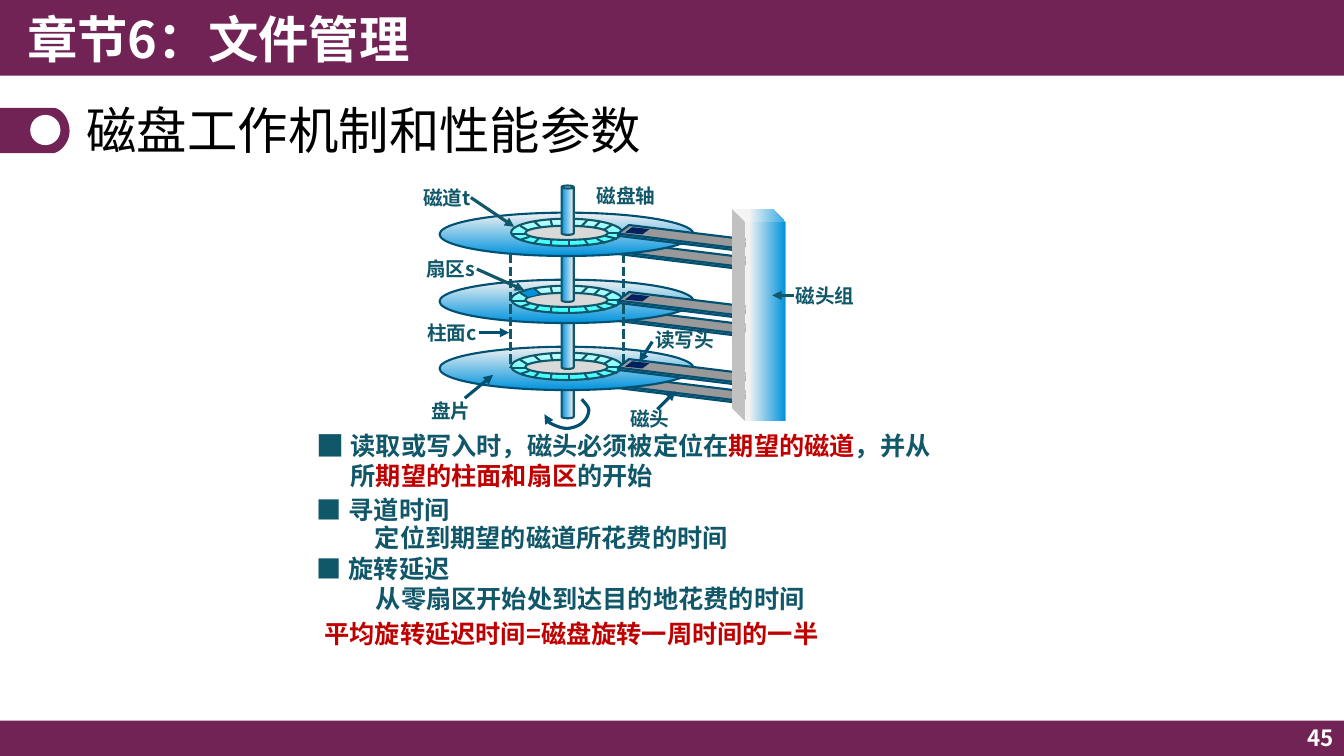
from typing import NamedTuple, Optional

from lxml import etree
from pptx import Presentation
from pptx import util as u
from pptx.dml.color import RGBColor
from pptx.enum import dml, shapes, text
from pptx.oxml import ns

PLUM = RGBColor(0x71, 0x23, 0x55)
WHITE = RGBColor(0xFF, 0xFF, 0xFF)
BLACK = RGBColor(0, 0, 0)
TEAL = RGBColor(0x11, 0x57, 0x6A)
DEEP_TEAL = RGBColor(0x00, 0x50, 0x72)
BLUE = RGBColor(0x00, 0x93, 0xDD)
PALE = RGBColor(0xF2, 0xF2, 0xF2)
ICE = RGBColor(0xCC, 0xFF, 0xFF)
CYAN = RGBColor(0x33, 0xFF, 0xFF)
GREY = RGBColor(0x80, 0x80, 0x80)
HUB_GREY = RGBColor(0xD9, 0xD9, 0xD9)
NAVY = RGBColor(0x00, 0x20, 0x60)
RED = RGBColor(0xC0, 0x00, 0x00)
FONT = "Noto Sans CJK SC"
BULLET_FONT = "Noto Sans CJK JP"
PLATTER_TOP = 2.11
PLATTER_GAP = 0.665
KIND = shapes.MSO_SHAPE
Point = tuple[float, float]


class Gradient(NamedTuple):
    first: RGBColor
    last: RGBColor
    angle: float
    start: float = 0


class Label(NamedTuple):
    words: str
    left: float
    top: float
    width: float


class Line(NamedTuple):
    start: Point
    end: Point
    color: RGBColor = DEEP_TEAL


class Item(NamedTuple):
    runs: list[tuple[str, RGBColor]]
    left: float
    top: float
    width: float
    spacing: float = 1
    bullet_top: float = 0
    bullet_size: float = 18


STEEL = Gradient(PALE, BLUE, 180)
PLATE = Gradient(PALE, BLUE, 270)
RING = Gradient(ICE, CYAN, 270)
COLUMN = Gradient(PALE, BLUE, 180, 0.32)

TICKS = [
    Line((5.48, 0.14), (5.46, 0.07)), Line((5.37, 0.15), (5.3, 0.09)),
    Line((5.24, 0.18), (5.16, 0.13)), Line((5.21, 0.21), (5.07, 0.21)),
    Line((6.17, 0.2), (6.03, 0.2)), Line((6, 0.3), (5.92, 0.26)),
    Line((5.84, 0.33), (5.8, 0.27)), Line((5.64, 0.28), (5.64, 0.34)),
    Line((6.12, 0.26), (6, 0.23)), Line((5.47, 0.27), (5.46, 0.33)),
    Line((5.34, 0.26), (5.29, 0.31)), Line((5.25, 0.24), (5.16, 0.27)),
    Line((5.76, 0.14), (5.83, 0.07)), Line((5.89, 0.15), (5.95, 0.09)),
    Line((5.99, 0.17), (6.07, 0.12)),
]
LABELS = [
    Label("磁道t", 4.1, 1.8, 0.68), Label("磁盘轴", 5.82, 1.78, 0.82),
    Label("磁头组", 7.79, 2.77, 0.82), Label("扇区s", 4.13, 2.5, 0.69),
    Label("柱面c", 4.14, 3.13, 0.7), Label("盘片", 4.18, 3.91, 0.62),
    Label("磁头", 6.15, 3.99, 0.62), Label("读写头", 6.4, 3.2, 0.82),
]
ARROWS = [
    Line((4.67, 1.96), (5.1, 2.25), TEAL), Line((4.73, 2.67), (5.2, 2.88), TEAL),
    Line((4.75, 3.3), (5.05, 3.3)), Line((4.61, 3.95), (4.89, 3.72)),
    Line((6.52, 4.06), (6.7, 3.88)), Line((6.47, 3.39), (6.34, 3.59)),
    Line((7.88, 2.93), (7.66, 2.93), TEAL),
]
ITEMS = [
    Item([("读取或写入时，磁头必须被定位在", TEAL), ("期望的磁道", RED), ("，并从所", TEAL),
          ("期望的柱面和扇区", RED), ("的开始", TEAL)], 3.38, 4.22, 6.09, 1, 4.2, 20),
    Item([("寻道时间", TEAL)], 3.36, 4.85, 1.64, 1, 4.85),
    Item([("定位到期望的磁道所花费的时间", TEAL)], 3.62, 5.17, 4.26, 0.9),
    Item([("旋转延迟", TEAL)], 3.36, 5.44, 1.64, 1, 5.44),
    Item([("从零扇区开始处到达目的地花费的时间", TEAL)], 3.63, 5.77, 5.51, 0.9),
    Item([("平均旋转延迟时间=磁盘旋转一周时间的一半", RED)], 3.12, 6.12, 5.9, 0.9),
]

presentation = Presentation()
presentation.slide_width = u.Inches(13.33)
presentation.slide_height = u.Inches(7.5)
slide = presentation.slides.add_slide(presentation.slide_layouts[6])


def paint(shape, fill, line: Optional[RGBColor], weight: float) -> None:
    shape.shadow.inherit = False
    if isinstance(fill, Gradient):
        shape.fill.gradient()
        shape.fill.gradient_angle = fill.angle
        first, last = shape.fill.gradient_stops
        first.color.rgb, first.position = fill.first, fill.start
        last.color.rgb, last.position = fill.last, 1
    elif fill is None:
        shape.fill.background()
    else:
        shape.fill.solid()
        shape.fill.fore_color.rgb = fill
    if line is None:
        shape.line.fill.background()
    else:
        shape.line.color.rgb = line
        shape.line.width = u.Pt(weight)


def add_arrowhead(shape) -> None:
    etree.SubElement(shape.line._get_or_add_ln(), ns.qn("a:tailEnd"), type="triangle")


def add_preset(kind: KIND, box: tuple[float, float, float, float], fill, line: Optional[RGBColor] = None,
               rotation: float = 0, adjustment: Optional[float] = None):
    shape = slide.shapes.add_shape(kind, *map(u.Inches, box))
    paint(shape, fill, line, 1.5)
    shape.rotation = rotation
    if adjustment is not None:
        shape.adjustments[0] = adjustment
    return shape


def add_outline(points: list[Point], fill=None, line: Optional[RGBColor] = None,
                weight: float = 0.75, close: bool = True):
    corners = [(u.Inches(x), u.Inches(y)) for x, y in points]
    builder = slide.shapes.build_freeform(*corners[0])
    builder.add_line_segments(corners[1:], close=close)
    shape = builder.convert_to_shape()
    paint(shape, fill, line, weight)
    return shape


def curve(start: Point, *arcs: tuple[Point, Point, Point], steps: int = 10) -> list[Point]:
    points = [start]
    for arc in arcs:
        controls = (points[-1], *arc)
        for step in range(1, steps + 1):
            t = step / steps
            weights = ((1 - t) ** 3, 3 * t * (1 - t) ** 2, 3 * t * t * (1 - t), t ** 3)
            points.append(tuple(sum(w * p[axis] for w, p in zip(weights, controls)) for axis in (0, 1)))
    return points


def add_line(line: Line, weight: float = 2.25, arrow: bool = False, dashed: bool = False) -> None:
    connector = slide.shapes.add_connector(
        shapes.MSO_CONNECTOR.STRAIGHT, *map(u.Inches, (*line.start, *line.end)))
    connector.line.color.rgb = line.color
    connector.line.width = u.Pt(weight)
    if dashed:
        connector.line.dash_style = dml.MSO_LINE.SQUARE_DOT
    if arrow:
        add_arrowhead(connector)
    etree.SubElement(connector._element.spPr, ns.qn("a:effectLst"))


def add_text(runs: list[tuple[str, RGBColor]], box: tuple[float, float, float, float], *, size: float = 18,
             bold: bool = True, font: str = FONT, spacing: float = 1,
             anchor=text.MSO_ANCHOR.TOP, align=text.PP_ALIGN.LEFT) -> None:
    frame = slide.shapes.add_textbox(*map(u.Inches, box)).text_frame
    frame.word_wrap = True
    frame.vertical_anchor = anchor
    paragraph = frame.paragraphs[0]
    paragraph.alignment = align
    paragraph.line_spacing = spacing
    for words, color in runs:
        run = paragraph.add_run()
        run.text = words
        run.font.size = u.Pt(size)
        run.font.bold = bold
        run.font.name = font
        run.font.color.rgb = color
        etree.SubElement(run.font._element, ns.qn("a:ea"), typeface=font)


def add_arm(top: float) -> None:
    add_preset(KIND.CUBE, (6.13, top, 1.31, 0.12), GREY, DEEP_TEAL, 7, 0.81)


def add_platter(top: float) -> None:
    add_arm(top + 0.37)
    add_preset(KIND.OVAL, (4.36, top, 2.52, 0.43), PLATE, DEEP_TEAL)
    add_preset(KIND.OVAL, (5.07, top + 0.06, 1.1, 0.27), RING, TEAL)
    for (x1, y1), (x2, y2), _ in TICKS:
        add_line(Line((x1, top + y1), (x2, top + y2), TEAL), 1.5)
    add_preset(KIND.OVAL, (5.21, top + 0.13, 0.82, 0.14), HUB_GREY, TEAL)
    add_spindle(top - 0.27)


def add_spindle(top: float) -> None:
    add_preset(KIND.CAN, (5.57, top, 0.12, 0.49), STEEL, TEAL)


def main() -> None:
    middle = text.MSO_ANCHOR.MIDDLE
    add_preset(KIND.RECTANGLE, (0, 7.15, 13.33, 0.35), PLUM)
    add_preset(KIND.RECTANGLE, (0, 0, 13.33, 0.75), PLUM)
    badge = curve((0.53, 1.07), ((0.6, 1.07), (0.69, 1.17), (0.69, 1.3)),
                  ((0.69, 1.42), (0.59, 1.52), (0.52, 1.52)))
    add_outline([(0, 1.07), *badge, (0, 1.52)], PLUM)
    add_preset(KIND.OVAL, (0.3, 1.14, 0.3, 0.3), WHITE)
    add_text([("章节6：文件管理", WHITE)], (0.17, 0, 6.67, 0.77), size=36, anchor=middle)
    add_text([("磁盘工作机制和性能参数", BLACK)], (0.76, 0.95, 11.81, 0.74), size=36, bold=False,
             spacing=0.9, anchor=middle)

    platter_tops = [PLATTER_TOP + PLATTER_GAP * level for level in range(3)]
    add_spindle(3.66)
    for top in reversed(platter_tops):
        add_platter(top)
    add_outline([(5.16, 2.9), (5.24, 2.95), (5.36, 2.92), (5.29, 2.86)], BLUE, TEAL)
    for x in (5.06, 6.18):
        add_line(Line((x, 2.52), (x, 3.64), TEAL), dashed=True)
    for top in platter_tops:
        add_arm(top + 0.19)
        add_preset(KIND.PARALLELOGRAM, (6.2, top + 0.15, 0.24, 0.06), NAVY, None, 6, 1.094)
    column = add_preset(KIND.CUBE, (7.26, 2.07, 0.53, 2.11), COLUMN)
    column._element.spPr.xfrm.set("flipH", "1")
    rotation = curve((5.77, 3.96), ((5.8, 4), (5.84, 4.03), (5.84, 4.07)),
                     ((5.84, 4.1), (5.82, 4.16), (5.78, 4.19)), ((5.75, 4.22), (5.68, 4.25), (5.62, 4.25)),
                     ((5.57, 4.25), (5.5, 4.22), (5.46, 4.2)), ((5.43, 4.18), (5.41, 4.14), (5.4, 4.11)))
    add_arrowhead(add_outline(rotation, None, DEEP_TEAL, 2.25, close=False))
    for label in LABELS:
        add_text([(label.words, TEAL)], (label.left, label.top, label.width, 0.34), size=14)
    for arrow in ARROWS:
        add_line(arrow, arrow=True)

    for item in ITEMS:
        add_text(item.runs, (item.left, item.top, item.width, 0.4), spacing=item.spacing)
        if item.bullet_top:
            add_text([("■", TEAL)], (3.04, item.bullet_top, 0.47, 0.4), size=item.bullet_size, font=BULLET_FONT)
    add_text([("45", WHITE)], (10.33, 7.14, 3, 0.36), size=16, anchor=middle, align=text.PP_ALIGN.RIGHT)
    presentation.save("out.pptx")


if __name__ == "__main__":
    main()
